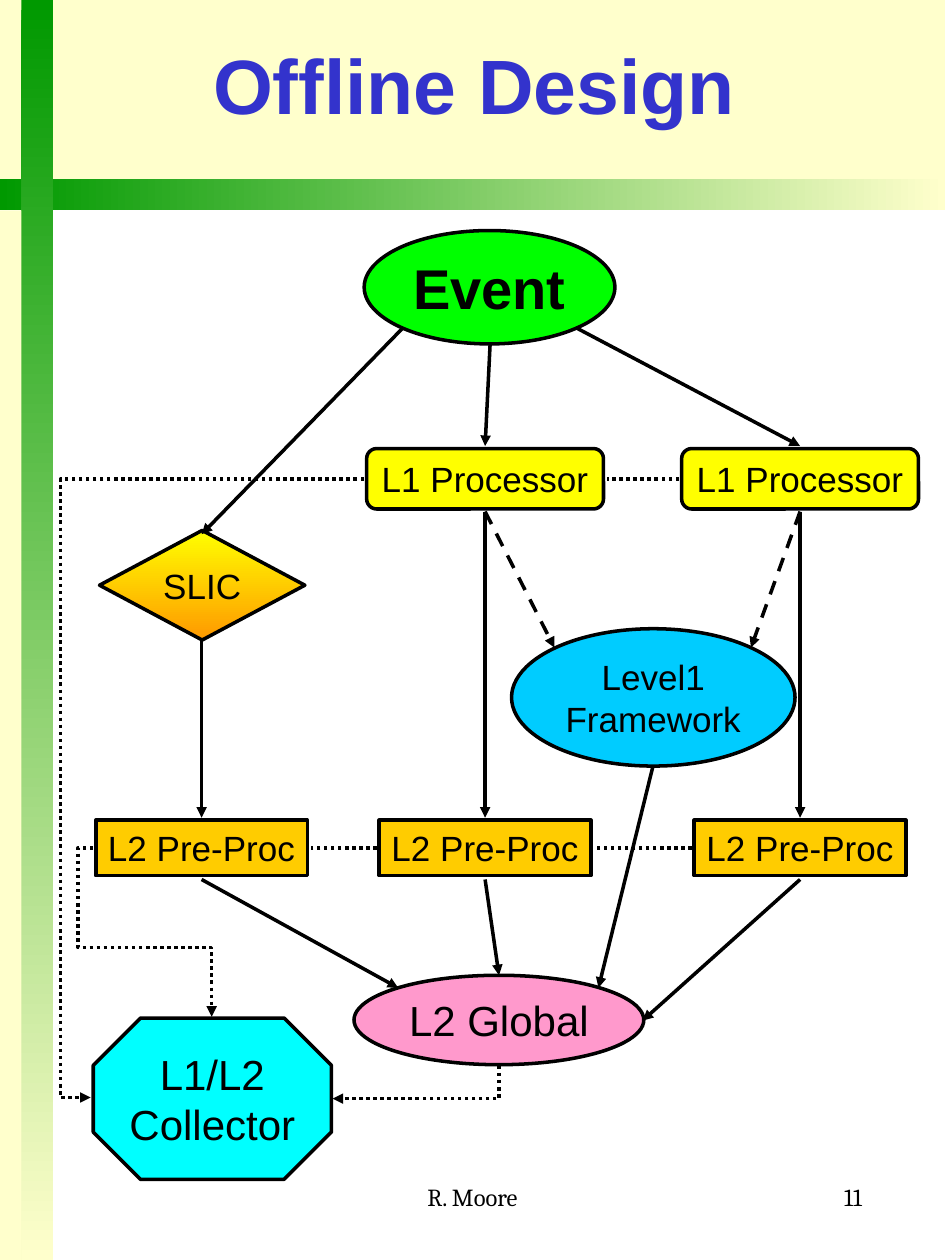
from pptx import Presentation
from pptx import util as u
from pptx.dml.color import RGBColor
from pptx.enum import dml, shapes, text
from pptx.oxml import ns
from lxml import etree

KIND = shapes.MSO_SHAPE
BLACK = "000000"
DOTTED = dml.MSO_LINE.ROUND_DOT
DASHED = dml.MSO_LINE.DASH


def color(value):
    return RGBColor.from_string(value)


def place(box, left, top, width, height):
    return [u.Inches(n) for n in (box[0] + left, box[1] + top, width, height)]


def paint(shape, fill, angle=0):
    if isinstance(fill, str):
        shape.fill.solid()
        shape.fill.fore_color.rgb = color(fill)
        return
    shape.fill.gradient()
    shape.fill.gradient_angle = angle
    for stop, value in zip(shape.fill.gradient_stops, fill):
        stop.color.rgb = color(value)


def write(frame, words, size, align, font="Arial", ink=BLACK, bold=False):
    frame.text = words
    for para in frame.paragraphs:
        para.alignment = align
        para.font.name = font
        para.font.size = u.Pt(size)
        para.font.bold = bold
        para.font.color.rgb = color(ink)


def band(page, box, fill, angle=0):
    shape = page.shapes.add_shape(KIND.RECTANGLE, *place((0, 0), *box))
    shape.shadow.inherit = False
    shape.line.fill.background()
    paint(shape, fill, angle)


def node(page, box, kind, bounds, fill, words, size, bold=False):
    shape = page.shapes.add_shape(kind, *place(box, *bounds))
    shape.shadow.inherit = False
    paint(shape, fill, 270)
    shape.line.color.rgb = color(BLACK)
    shape.line.width = u.Pt(2)
    frame = shape.text_frame
    frame.word_wrap = False
    frame.vertical_anchor = text.MSO_ANCHOR.MIDDLE
    write(frame, words, size, text.PP_ALIGN.CENTER, bold=bold)
    return shape


def link(page, box, start, end, dash=None, arrow=True,
         kind=shapes.MSO_CONNECTOR.STRAIGHT):
    points = [u.Inches(origin + n) for point in (start, end)
              for origin, n in zip(box, point)]
    connector = page.shapes.add_connector(kind, *points)
    connector.line.color.rgb = color(BLACK)
    connector.line.width = u.Pt(2)
    if dash:
        connector.line.dash_style = dash
    properties = connector._element.spPr
    if arrow:
        outline = properties.find(ns.qn("a:ln"))
        etree.SubElement(outline, ns.qn("a:tailEnd"), type="triangle")
    etree.SubElement(properties, ns.qn("a:effectLst"))
    return connector


def elbow(page, box, start, end, preset, bends=(), turn=0):
    connector = link(page, box, start, end, DOTTED,
                     kind=shapes.MSO_CONNECTOR.ELBOW)
    properties = connector._element.spPr
    properties.find(ns.qn("a:xfrm")).set("rot", str(turn * 60000))
    geometry = properties.find(ns.qn("a:prstGeom"))
    geometry.set("prst", preset)
    guides = geometry.find(ns.qn("a:avLst"))
    for number, bend in enumerate(bends, 1):
        etree.SubElement(guides, ns.qn("a:gd"), name=f"adj{number}",
                         fmla=f"val {round(bend * 100000)}")


def backdrop(page, box):
    left, top, width, height = box
    band(page, (left, top, width, 1.42), "FFFFCC")
    band(page, (left, top + 1.42, width, 0.25), ("FFFFCC", "009900"), 180)
    band(page, (left + 0.17, top, 0.25, height), ("009900", "FFFFCC"), 270)
    band(page, (left, top + 1.67, 0.17, height - 1.67), "FFFFCC")


def heading(page, box):
    title = page.shapes.title
    page.shapes._spTree.append(title._element)
    title.left, title.top, title.width, title.height = place((0, 0), *box)
    title.text_frame.vertical_anchor = text.MSO_ANCHOR.MIDDLE
    title.text_frame.auto_size = text.MSO_AUTO_SIZE.NONE
    write(title.text_frame, "Offline Design", 44, text.PP_ALIGN.CENTER,
          ink="3333CC", bold=True)


def flow(page, box):
    slic, first, second = columns = (1.1, 3.35, 5.85)

    node(page, box, KIND.OVAL, (2.39, 0.03, 1.99, 0.9), "00FF00", "Event", 32, True)
    node(page, box, KIND.OVAL, (2.31, 5.94, 2.3, 0.71), "FF99CC", "L2 Global", 24)
    node(page, box, KIND.OCTAGON, (0.24, 6.28, 1.89, 1.28), "00FFFF",
         "L1/L2\nCollector", 24)
    node(page, box, KIND.DIAMOND, (0.29, 2.41, 1.63, 0.87),
         ("FFFF00", "FF9900"), "SLIC", 20)
    for center in (first, second):
        node(page, box, KIND.ROUNDED_RECTANGLE, (center - 0.94, 1.76, 1.88, 0.48),
             "FFFF00", "L1 Processor", 20)
    for center in columns:
        node(page, box, KIND.RECTANGLE, (center - 0.84, 4.71, 1.68, 0.44),
             "FFCC00", "L2 Pre-Proc", 20)

    arrows = [
        ((3.39, 0.93), (first, 1.74)),
        ((4.07, 0.8), (second, 1.74)),
        ((2.7, 0.8), (slic, 2.44)),
        ((slic, 3.26), (slic, 4.69)),
        ((first, 2.26), (first, 4.69)),
        ((second, 2.26), (second, 4.69)),
        ((slic, 5.18), (2.66, 6.04)),
        ((first, 5.18), (3.46, 5.94)),
        ((second, 5.18), (4.6, 6.3)),
        ((4.68, 4.29), (4.25, 6.04)),
    ]
    for start, end in arrows:
        link(page, box, start, end)
    for center, target in ((first, 3.9), (second, 5.46)):
        link(page, box, (center, 2.26), (target, 3.34), DASHED)
    for right, left, level in ((4.89, 4.32, 2), (4.99, 4.22, 4.93), (2.49, 1.97, 4.93)):
        link(page, box, (right, level), (left, level), DOTTED, arrow=False)

    elbow(page, box, (2.39, 2), (0.22, 6.91), "bentConnector3", (1.11,))
    elbow(page, box, (0.24, 4.93), (1.18, 6.27), "bentConnector4", (-0.13, 0.59))
    elbow(page, box, (2.67, 6.13), (2.93, 7.45), "bentConnector2", turn=90)

    node(page, box, KIND.OVAL, (3.56, 3.19, 2.25, 1.09), "00CCFF",
         "Level1\nFramework", 20)


def footer(page, box):
    entries = [
        ("R. Moore", 0, 3, text.PP_ALIGN.CENTER),
        ("11", 3.13, 1.56, text.PP_ALIGN.RIGHT),
    ]
    for words, left, width, align in entries:
        label = page.shapes.add_textbox(*place(box, left, 0, width, box[3]))
        label.text_frame.word_wrap = True
        write(label.text_frame, words, 14, align, font="Cambria")


def main():
    deck = Presentation()
    deck.slide_width, deck.slide_height = u.Inches(7.5), u.Inches(10)
    page = deck.slides.add_slide(deck.slide_layouts[5])
    backdrop(page, (0, 0, 7.5, 10))
    heading(page, (0.58, 0, 6.37, 1.33))
    flow(page, (0.5, 1.8, 6.8, 7.56))
    footer(page, (2.25, 9.33, 4.69, 0.44))
    deck.save("out.pptx")


if __name__ == "__main__":
    main()
